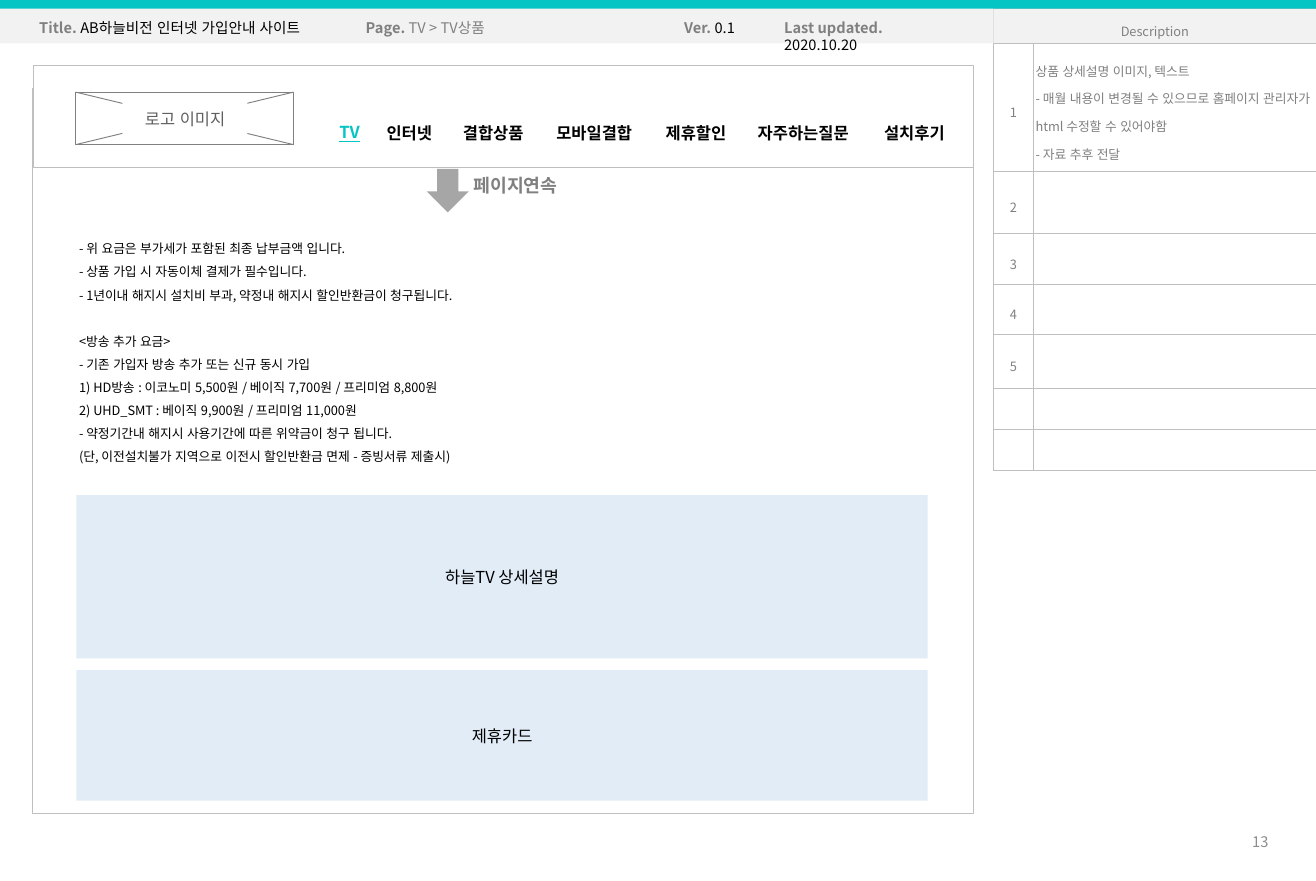
from dataclasses import dataclass

from lxml import etree
from pptx import Presentation
from pptx.dml.color import RGBColor
from pptx.enum import lang, shapes, text
from pptx.oxml import ns
from pptx.util import Pt


@dataclass(frozen=True)
class Theme:
    font: str = "Noto Sans CJK KR"
    logo_font: str = "Lato"
    accent: str = "05C4C4"
    black: str = "000000"
    white: str = "FFFFFF"
    gray: str = "808080"
    logo_text: str = "5F5F5F"
    page_no: str = "8C8C8C"
    arrow: str = "A6A6A6"
    border: str = "BFBFBF"
    band: str = "F2F2F2"
    panel: str = "8EB4E3"
    small: float = 7
    meta: float = 8
    body: float = 9
    label: float = 10
    hairline: float = 0.5


T = Theme()
CENTER = text.PP_ALIGN.CENTER
MIDDLE = text.MSO_ANCHOR.MIDDLE

META = [  # left, width, label, value, value colour
    (14.4, 167.8, "Title. ", "AB하늘비전 인터넷 가입안내 사이트", T.black),
    (367.2, 46.1, "Ver. ", "0.1", T.black),
    (421.9, 111.6, "Last updated. ", "2020.10.20", T.black),
    (193, 87.8, "Page. ", "TV > TV상품", T.gray),
]
MENU = [("인터넷", 41.8), ("결합상품", 51.1), ("모바일결합", 59.8),
        ("제휴할인", 50.4), ("자주하는질문", 69.1), ("설치후기", 51.1)]
FEE_NOTES = [
    "- 위 요금은 부가세가 포함된 최종 납부금액 입니다.",
    "- 상품 가입 시 자동이체 결제가 필수입니다.",
    "- 1년이내 해지시 설치비 부과, 약정내 해지시 할인반환금이 청구됩니다.",
    "<방송 추가 요금>",
    "- 기존 가입자 방송 추가 또는 신규 동시 가입",
    "1) HD방송 : 이코노미 5,500원 / 베이직 7,700원 / 프리미엄 8,800원",
    "2) UHD_SMT : 베이직 9,900원 / 프리미엄 11,000원",
    "- 약정기간내 해지시 사용기간에 따른 위약금이 청구 됩니다.",
    "(단, 이전설치불가 지역으로 이전시 할인반환금 면제 - 증빙서류 제출시)",
]
DESCRIPTION = [
    "상품 상세설명 이미지, 텍스트",
    "- 매월 내용이 변경될 수 있으므로 홈페이지 관리자가 html 수정할 수 있어야함",
    "- 자료 추후 전달",
]
ROW_HEIGHTS = [19.2, 69.9, 33.9, 28.2, 27, 29.5, 22.8, 22.4]


def rgb(color):
    return RGBColor.from_string(color)


def style_run(r, size, color, bold=False, font=T.font):
    f = r.font
    f.name, f.size, f.bold = font, Pt(size), bold
    f.color.rgb = rgb(color)
    f.language_id = lang.MSO_LANGUAGE_ID.KOREAN
    ea = etree.Element(ns.qn("a:ea"), typeface=T.font)
    r._r.rPr.find(ns.qn("a:latin")).addnext(ea)


def write(tf, lines, size, color, bold=False, align=None, spacing=None, font=T.font):
    tf.text = "\n".join(lines)
    for p in tf.paragraphs:
        p.alignment = align
        p.line_spacing = spacing
        for r in p.runs:
            style_run(r, size, color, bold, font)


def add_label(s, box, lines=(), size=T.body, color=T.black, **style):
    """Add an unwrapped text box and return its text frame."""
    tf = s.shapes.add_textbox(*map(Pt, box)).text_frame
    tf.word_wrap = False
    tf.auto_size = text.MSO_AUTO_SIZE.SHAPE_TO_FIT_TEXT
    if lines:
        write(tf, lines, size, color, **style)
    return tf


def add_block(s, box, fill, line=None, kind=shapes.MSO_SHAPE.RECTANGLE):
    sp = s.shapes.add_shape(kind, *map(Pt, box))
    sp.shadow.inherit = False
    sp.fill.solid()
    sp.fill.fore_color.rgb = rgb(fill)
    if line:
        sp.line.color.rgb = rgb(line)
        sp.line.width = Pt(T.hairline)
    else:
        sp.line.fill.background()
    return sp


def add_line(s, x1, y1, x2, y2):
    c = s.shapes.add_connector(shapes.MSO_CONNECTOR.STRAIGHT, *map(Pt, (x1, y1, x2, y2)))
    c.line.color.rgb = rgb(T.gray)
    c.line.width = Pt(T.hairline)
    etree.SubElement(c._element.spPr, ns.qn("a:effectLst"))


def add_panel(s, top, height, caption):
    """Add a translucent content area with a centred caption."""
    sp = add_block(s, (41.8, top, 465.8, height), T.panel)
    color = sp._element.spPr.find(".//" + ns.qn("a:srgbClr"))
    etree.SubElement(color, ns.qn("a:alpha"), val="25000")
    sp.text_frame.vertical_anchor = MIDDLE
    write(sp.text_frame, [caption], T.body, T.black, align=CENTER)


def style_cell(cell, fill, lines=(), align=CENTER, margins=(0, 0)):
    cell.margin_left = cell.margin_right = Pt(margins[0])
    cell.margin_top = cell.margin_bottom = Pt(margins[1])
    cell.vertical_anchor = MIDDLE
    if lines:
        write(cell.text_frame, lines, T.small, T.gray, align=align, spacing=1.5)
    else:
        end = cell.text_frame.paragraphs[0]._p.get_or_add_endParaRPr()
        end.set("sz", str(int(T.small * 100)))
    pr = cell._tc.get_or_add_tcPr()
    for side in ("lnL", "lnR", "lnT", "lnB"):
        ln = etree.SubElement(pr, ns.qn(f"a:{side}"), w=str(Pt(T.hairline)))
        solid = etree.SubElement(ln, ns.qn("a:solidFill"))
        etree.SubElement(solid, ns.qn("a:srgbClr"), val=T.border)
    cell.fill.solid()
    cell.fill.fore_color.rgb = rgb(fill)


def add_description_table(s):
    box = (543.6, 4.7, 176.4, sum(ROW_HEIGHTS))
    table = s.shapes.add_table(len(ROW_HEIGHTS), 2, *map(Pt, box)).table
    table.first_row = table.horz_banding = False
    for col, width in zip(table.columns, (21.6, 154.8)):
        col.width = Pt(width)
    for row, height in zip(table.rows, ROW_HEIGHTS):
        row.height = Pt(height)
    table.cell(0, 0).merge(table.cell(0, 1))
    style_cell(table.cell(0, 0), T.band, ["Description"])
    style_cell(table.cell(0, 1), T.band)
    for i in range(1, len(ROW_HEIGHTS)):
        style_cell(table.cell(i, 0), T.white, [str(i)] if i <= 5 else ())
        style_cell(table.cell(i, 1), T.white, DESCRIPTION if i == 1 else (),
                   text.PP_ALIGN.LEFT, (1.4, 2.9))


def add_meta_bar(s):
    add_block(s, (0, 1.4, 543.6, 22.4), T.band)
    add_block(s, (0, 0, 720, 4.8), T.accent)
    for left, width, label, value, color in META:
        tf = add_label(s, (left, 6.8, width, 17))
        p = tf.paragraphs[0]
        for content, c, bold in ((label, T.gray, True), (value, color, False)):
            r = p.add_run()
            r.text = content
            style_run(r, T.meta, c, bold)
        if label.startswith("Last"):  # the date goes on a second line
            tf.word_wrap = True
            tf.auto_size = text.MSO_AUTO_SIZE.NONE
            tf.margin_right = Pt(24)


def add_site_header(s):
    add_block(s, (18.2, 35.6, 514.4, 56), T.white, T.border)
    x, y, w, h = 41.5, 50.4, 119, 28.7
    add_block(s, (x, y, w, h), T.white, T.gray)
    add_line(s, x, y + h, x + w, y)
    add_line(s, x, y, x + w, y + h)
    logo = add_block(s, (67, 55.4, 68.4, 19.4), T.white)
    logo.text_frame.word_wrap = False
    logo.text_frame.vertical_anchor = MIDDLE
    write(logo.text_frame, ["로고 이미지"], T.body, T.logo_text, align=CENTER, font=T.logo_font)

    tf = add_label(s, (178.6, 63.4, 25.9, 18), ["TV"], color=T.accent, bold=True)
    tf.paragraphs[0].runs[0].font.underline = True
    left = 204.4
    for name, width in MENU:
        add_label(s, (left, 63.8, width, 18), [name], bold=True)
        left += width


def main():
    prs = Presentation()
    prs.slide_width, prs.slide_height = Pt(720), Pt(481.88)
    s = prs.slides.add_slide(prs.slide_layouts[6])

    add_block(s, (18, 48.4, 514.8, 396.7), T.white, T.border)
    tf = add_label(s, (671.6, 447.1, 29.5, 26.6), ["13"], T.meta, T.page_no,
                   align=text.PP_ALIGN.RIGHT)
    tf.auto_size = text.MSO_AUTO_SIZE.NONE
    tf.word_wrap = True
    tf.vertical_anchor = MIDDLE
    add_description_table(s)
    add_meta_bar(s)
    add_site_header(s)

    notes = add_label(s, (36.2, 124.2, 242.6, 134.6), FEE_NOTES, T.small, spacing=1.5)
    notes.paragraphs[3].space_before = Pt(12.6)
    add_block(s, (233.5, 92.4, 23, 23.8), T.arrow, kind=shapes.MSO_SHAPE.DOWN_ARROW)
    add_label(s, (252, 91.8, 64.8, 19.4), ["페이지연속"], T.label, T.gray, bold=True)
    add_panel(s, 270.9, 89.3, "하늘TV 상세설명")
    add_panel(s, 366.6, 71.3, "제휴카드")
    prs.save("out.pptx")


if __name__ == "__main__":
    main()
